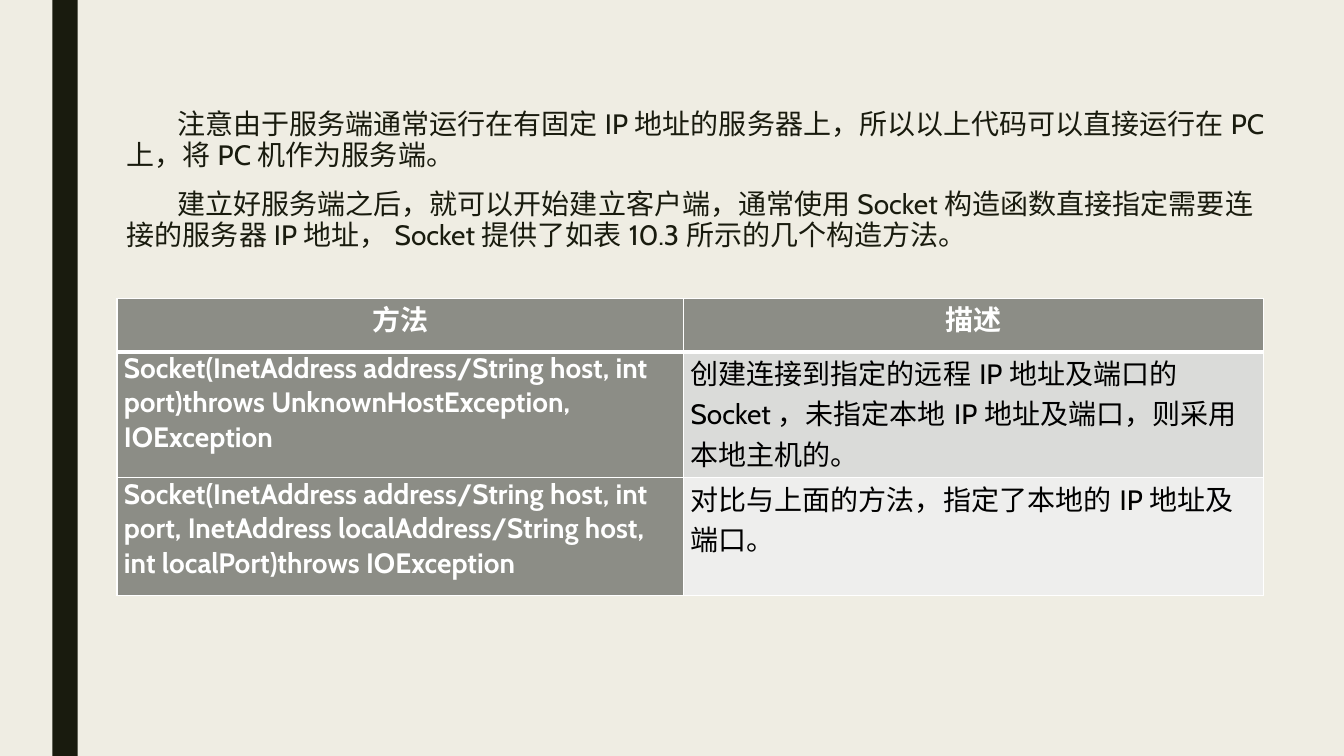
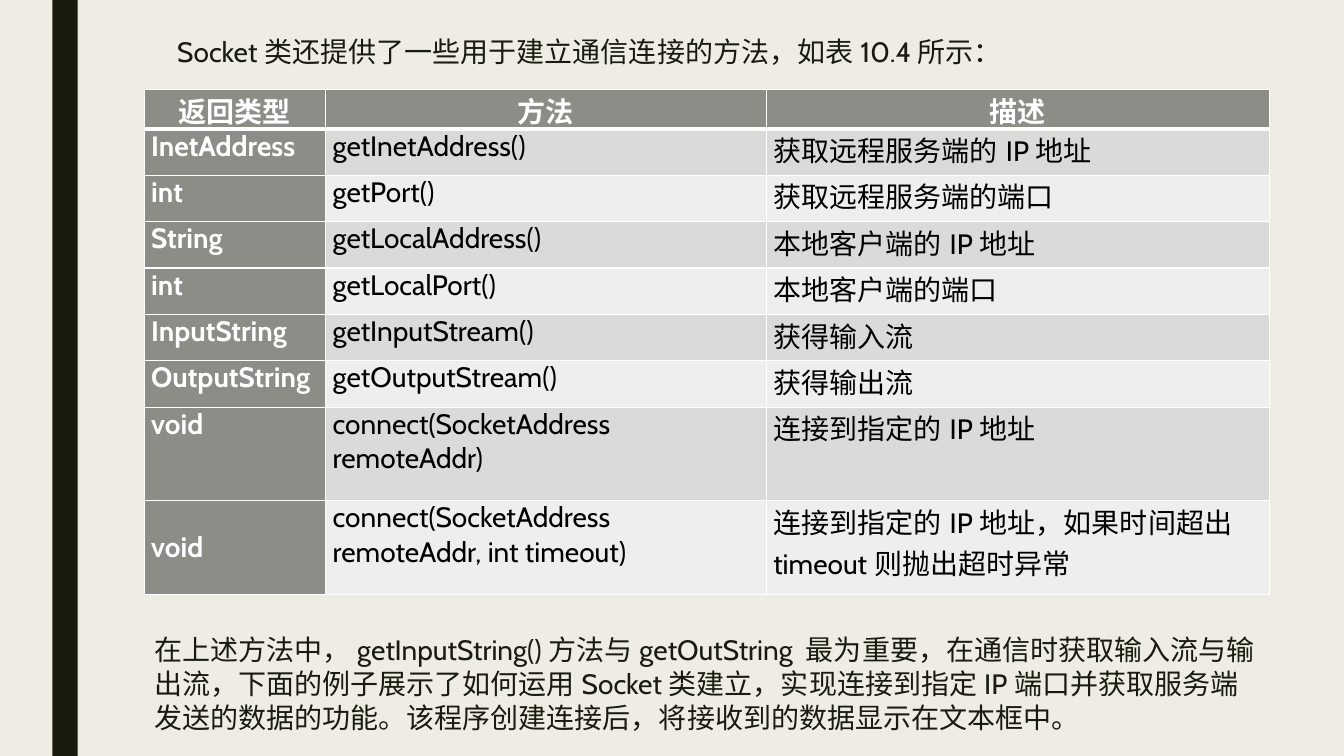
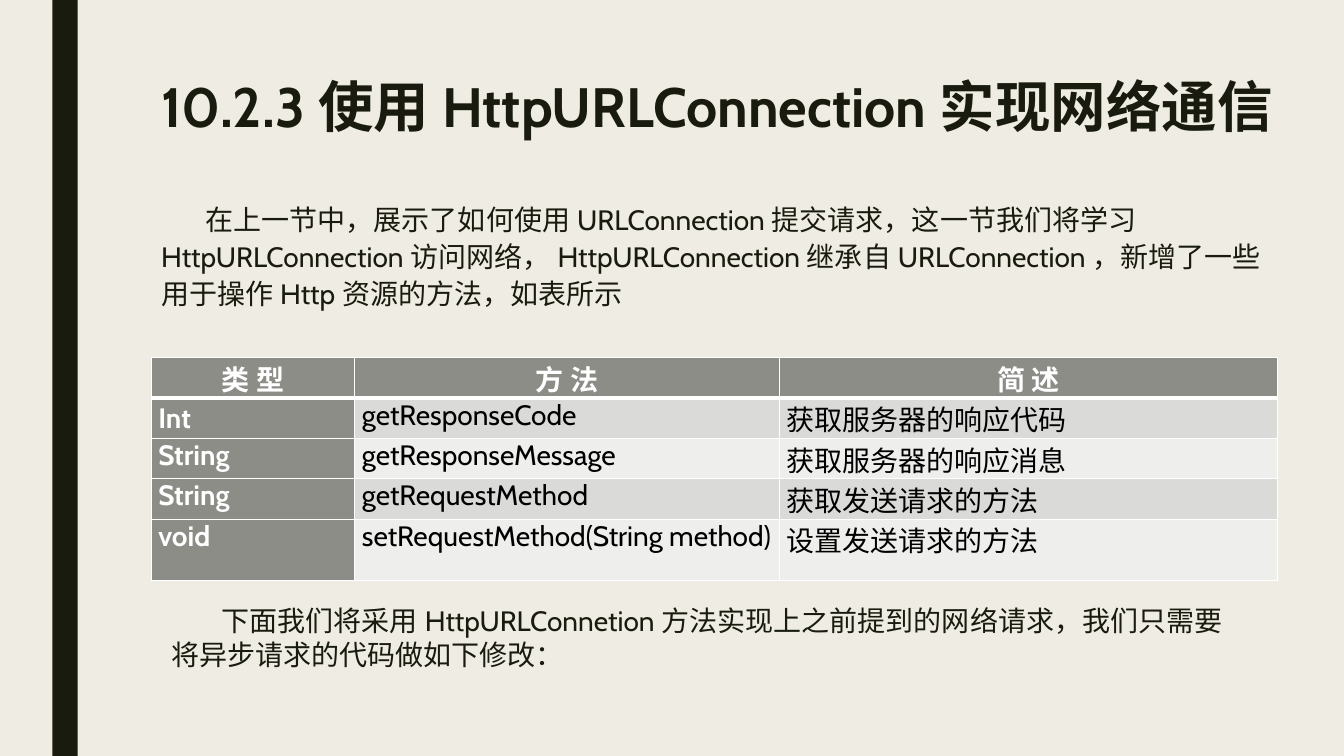
from pptx import Presentation, util as u
from pptx.dml.color import RGBColor
from pptx.enum import shapes, text
from pptx.oxml import parse_xml
from pptx.oxml.ns import nsdecls

FONT = "Cabin"
PAPER, INK, WHITE, BLACK = "EFEDE3", "191B0E", "FFFFFF", "000000"
HEADER, STRIPES = "8C8D86", ("DADBD9", "EEEEED")
BODY_SIZE, TITLE_SIZE = 20, 39.6


def color(hex_value):
    return RGBColor.from_string(hex_value)


def paint(target, hex_value):
    target.fill.solid()
    target.fill.fore_color.rgb = color(hex_value)


def add_run(paragraph, content, hex_value, size=BODY_SIZE, bold=False):
    run = paragraph.add_run()
    run.text = content
    run.font.name = FONT
    run.font.size = u.Pt(size)
    run.font.bold = bold
    run.font.color.rgb = color(hex_value)
    return run


def add_slide(presentation):
    slide = presentation.slides.add_slide(presentation.slide_layouts[6])
    band = slide.shapes.add_shape(shapes.MSO_SHAPE.RECTANGLE, u.Inches(0.52), 0,
                                  u.Inches(0.25), presentation.slide_height)
    band.shadow.inherit = False
    paint(band, INK)
    band.line.fill.background()
    return slide


def add_text(slide, box, paragraphs, indent=0, spacing=1.0, before=0, after=0,
             size=BODY_SIZE, bold=False):
    frame = slide.shapes.add_textbox(*map(u.Inches, box)).text_frame
    frame.word_wrap = True
    for index, content in enumerate(paragraphs):
        paragraph = frame.add_paragraph() if index else frame.paragraphs[0]
        paragraph.line_spacing = spacing
        paragraph.space_before = u.Pt(before)
        paragraph.space_after = u.Pt(after)
        paragraph._p.get_or_add_pPr().set("indent", str(u.Inches(indent)))
        run = add_run(paragraph, content, INK, size, bold)
        run.font._element.append(
            parse_xml(f'<a:ea {nsdecls("a")} typeface="{FONT}"/>'))


def set_borders(cell, top, bottom):
    properties = cell._tc.get_or_add_tcPr()
    widths = {"lnL": 1, "lnR": 1, "lnT": top, "lnB": bottom}
    for index, (side, width) in enumerate(widths.items()):
        properties.insert(index, parse_xml(
            f'<a:{side} {nsdecls("a")} w="{u.Pt(width)}"><a:solidFill>'
            f'<a:srgbClr val="{WHITE}"/></a:solidFill></a:{side}>'))


def fill_cell(cell, content, row, column, middle):
    is_label = row == 0 or column == 0
    cell.margin_left = cell.margin_right = u.Inches(0.07)
    cell.margin_top = cell.margin_bottom = 0
    cell.vertical_anchor = (text.MSO_ANCHOR.MIDDLE if middle
                            else text.MSO_ANCHOR.TOP)
    paint(cell, HEADER if is_label else STRIPES[(row - 1) % 2])
    set_borders(cell, 3 if row == 1 else 1, 3 if row == 0 else 1)
    paragraph = cell.text_frame.paragraphs[0]
    if row == 0:
        paragraph.alignment = text.PP_ALIGN.CENTER
    add_run(paragraph, content, WHITE if is_label else BLACK, bold=is_label)


def add_method_table(slide, left, top, widths, heights, rows, middle_row=None):
    table = slide.shapes.add_table(
        len(rows), len(widths), u.Inches(left), u.Inches(top),
        u.Inches(sum(widths)), u.Inches(sum(heights))).table
    for column, width in zip(table.columns, widths):
        column.width = u.Inches(width)
    for table_row, height in zip(table.rows, heights):
        table_row.height = u.Inches(height)
    for row, contents in enumerate(rows):
        for column, content in enumerate(contents):
            fill_cell(table.cell(row, column), content, row, column,
                      row == middle_row and column == 0)


def build_constructors(presentation):
    slide = add_slide(presentation)
    add_text(slide, (1.16, 1.03, 11.53, 1.76), [
        "注意由于服务端通常运行在有固定IP地址的服务器上，所以以上代码可以直接运行在PC上，将PC机作为服务端。",
        "建立好服务端之后，就可以开始建立客户端，通常使用Socket构造函数直接指定需要连接的服务器IP地址，"
        "Socket提供了如表10.3所示的几个构造方法。",
    ], indent=0.5, spacing=0.94, before=10, after=2)
    add_method_table(slide, 1.16, 2.96, (5.62, 5.75), (0.53, 1.25, 1.17), [
        ("方法", "描述"),
        ("Socket(InetAddress address/String host, int port)throws "
         "UnknownHostException, IOException",
         "创建连接到指定的远程IP地址及端口的Socket，未指定本地IP地址及端口，则采用本地主机的。"),
        ("Socket(InetAddress address/String host, int port, InetAddress "
         "localAddress/String host, int localPort)throws IOException",
         "对比与上面的方法，指定了本地的IP地址及端口。"),
    ])


def build_socket_methods(presentation):
    slide = add_slide(presentation)
    add_text(slide, (1.16, 0.32, 11.53, 0.73),
             ["Socket类还提供了一些用于建立通信连接的方法，如表10.4所示："],
             indent=0.5, spacing=0.94, before=10, after=2)
    heights = [0.39] + [0.46] * 6 + [0.93] * 2
    add_method_table(slide, 1.43, 0.89, (1.8, 4.37, 4.99), heights, [
        ("返回类型", "方法", "描述"),
        ("InetAddress", "getInetAddress()", "获取远程服务端的IP地址"),
        ("int", "getPort()", "获取远程服务端的端口"),
        ("String", "getLocalAddress()", "本地客户端的IP地址"),
        ("int", "getLocalPort()", "本地客户端的端口"),
        ("InputString", "getInputStream()", "获得输入流"),
        ("OutputString", "getOutputStream()", "获得输出流"),
        ("void", "connect(SocketAddress remoteAddr)", "连接到指定的IP地址"),
        ("void", "connect(SocketAddress remoteAddr, int timeout)",
         "连接到指定的IP地址，如果时间超出timeout则抛出超时异常"),
    ], middle_row=8)
    add_text(slide, (1.43, 6.23, 11.16, 1.11), [
        "在上述方法中，getInputString()方法与getOutString 最为重要，在通信时获取输入流与输出流，"
        "下面的例子展示了如何运用Socket类建立，实现连接到指定IP端口并获取服务端发送的数据的功能。"
        "该程序创建连接后，将接收到的数据显示在文本框中。"])


def build_http_connection(presentation):
    slide = add_slide(presentation)
    add_text(slide, (1.5, 0.75, 11.34, 1.1),
             ["10.2.3使用HttpURLConnection实现网络通信"],
             spacing=0.89, size=TITLE_SIZE, bold=True)
    add_text(slide, (1.5, 1.93, 11.17, 1.51), [
        "在上一节中，展示了如何使用URLConnection提交请求，这一节我们将学习HttpURLConnection访问网络，"
        "HttpURLConnection继承自URLConnection，新增了一些用于操作Http资源的方法，如表所示",
    ], indent=0.44, spacing=1.1, before=2, after=2)
    heights = [0.4] * 4 + [0.61]
    add_method_table(slide, 1.5, 3.55, (2.02, 4.21, 4.94), heights, [
        ("类 型", "方 法", "简 述"),
        ("Int", "getResponseCode", "获取服务器的响应代码"),
        ("String", "getResponseMessage", "获取服务器的响应消息"),
        ("String", "getRequestMethod", "获取发送请求的方法"),
        ("void", "setRequestMethod(String method)", "设置发送请求的方法"),
    ], middle_row=1)
    add_text(slide, (1.6, 5.94, 10.81, 0.77), [
        "下面我们将采用HttpURLConnetion方法实现上之前提到的网络请求，我们只需要将异步请求的代码做如下修改："],
        indent=0.5)


def main():
    presentation = Presentation()
    presentation.slide_width = u.Inches(13.33)
    presentation.slide_height = u.Inches(7.5)
    paint(presentation.slide_master.background, PAPER)
    build_constructors(presentation)
    build_socket_methods(presentation)
    build_http_connection(presentation)
    presentation.save("out.pptx")


if __name__ == "__main__":
    main()
